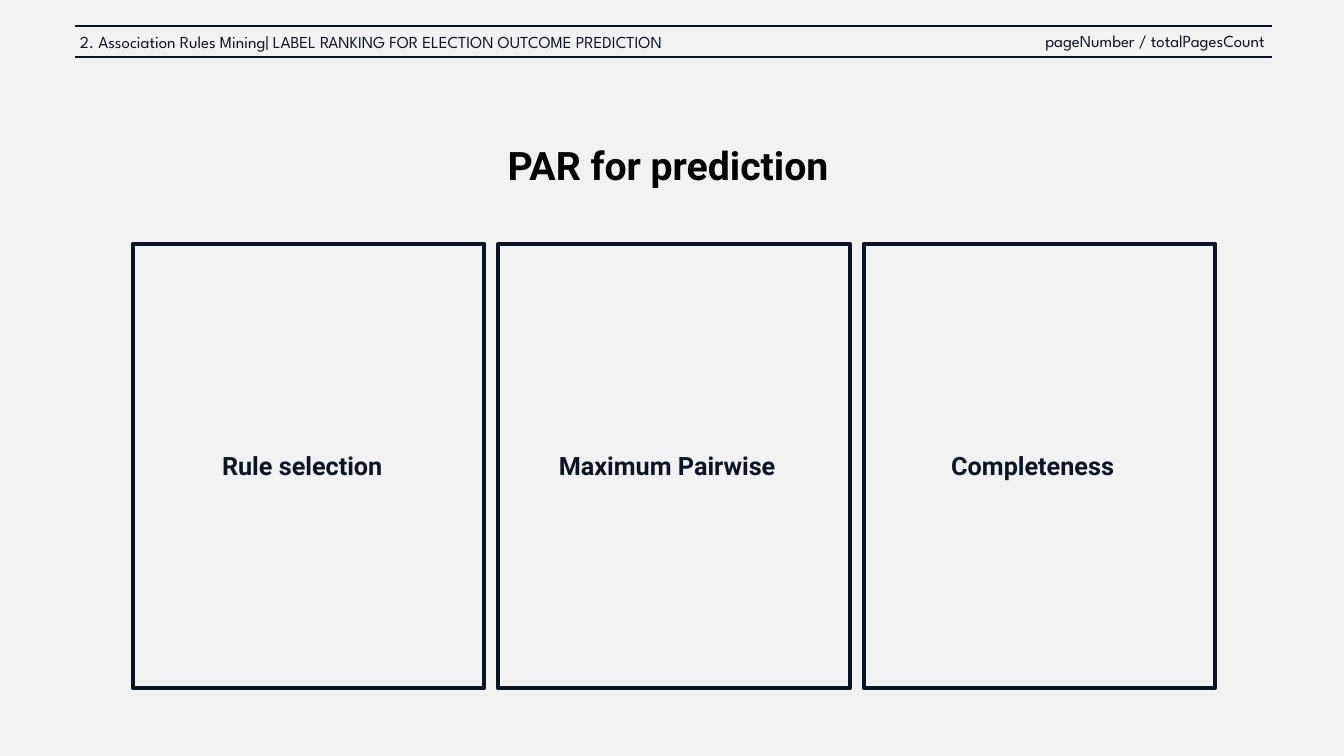
from pptx import Presentation
from pptx.dml.color import RGBColor
from pptx.enum.shapes import MSO_CONNECTOR, MSO_SHAPE
from pptx.enum.text import MSO_ANCHOR, MSO_AUTO_SIZE, PP_ALIGN
from pptx.oxml.ns import qn
from pptx.util import Emu, Pt
from lxml import etree

LEFT, CENTER, RIGHT = PP_ALIGN.LEFT, PP_ALIGN.CENTER, PP_ALIGN.RIGHT
MIDDLE, TOP = MSO_ANCHOR.MIDDLE, MSO_ANCHOR.TOP
FIT_SHAPE, FIT_NONE = MSO_AUTO_SIZE.SHAPE_TO_FIT_TEXT, MSO_AUTO_SIZE.NONE
STRAIGHT, RECTANGLE = MSO_CONNECTOR.STRAIGHT, MSO_SHAPE.RECTANGLE

COLORS = {"background": "F2F2F2", "ink": "0A1426", "title": "000000"}
FONTS = {
    "title": {"name": "Roboto", "size": Pt(28), "bold": True},
    "header": {"name": "League Spartan", "size": Pt(12), "bold": False},
    "label": {"name": "Roboto", "size": Pt(18), "bold": True},
}
CARDS = [("Rule selection", 193), ("Maximum Pairwise", 250), ("Completeness", 196)]


def px(length):
    """Turn pixels into EMU."""
    return Emu(round(length * 914400 / 100.8))


def color(name):
    """Return a named colour."""
    return RGBColor.from_string(COLORS[name])


def set_values(target, values):
    """Set each attribute in values on target."""
    for name, value in values.items():
        setattr(target, name, value)


def place(shape, left, top, width, height):
    """Put a shape in a box given in pixels."""
    set_values(shape, {"left": px(left), "top": px(top),
                       "width": px(width), "height": px(height)})


def write(shape, text, style, ink="ink", alignment=LEFT, frame_format=None):
    """Write one formatted paragraph into a shape."""
    frame = shape.text_frame
    frame.text = text
    set_values(frame, frame_format or {"word_wrap": True, "auto_size": FIT_SHAPE,
                                       "vertical_anchor": TOP})
    paragraph = frame.paragraphs[0]
    paragraph.alignment = alignment
    set_values(paragraph.font, FONTS[style])
    paragraph.font.color.rgb = color(ink)


def add_text(slide, box, text, style, **options):
    """Add a text box in a pixel box."""
    shape = slide.shapes.add_textbox(*map(px, box))
    write(shape, text, style, **options)


def add_rule(slide, left, right, y):
    """Add a horizontal rule."""
    rule = slide.shapes.add_connector(STRAIGHT, px(left), px(y), px(right), px(y))
    rule.line.color.rgb = color("ink")
    rule.line.width = Pt(1)
    etree.SubElement(rule._element.spPr, qn("a:effectLst"))


def add_title(slide, left, top, width, height):
    """Place and format the title."""
    title = slide.shapes.title
    place(title, left, top, width, height)
    write(title, "PAR for prediction", "title", ink="title", alignment=CENTER,
          frame_format={"word_wrap": True, "auto_size": FIT_NONE,
                        "vertical_anchor": MIDDLE})
    set_values(title.text_frame.paragraphs[0],
               {"line_spacing": 0.9, "space_before": Pt(0)})


def add_header(slide, left, top, width, height):
    """Add the running header between two rules."""
    add_text(slide, (left - 5, top + 1, 950, 30),
             "2. Association Rules Mining| LABEL RANKING FOR ELECTION OUTCOME PREDICTION",
             "header")
    for y in (top, top + height):
        add_rule(slide, left, left + width, y)
    add_text(slide, (left + width - 508, top, 511, 30),
             "pageNumber / totalPagesCount", "header", alignment=RIGHT)


def add_card(slide, left, top, width, height, text, label_width):
    """Add an outlined card with its label."""
    card = slide.shapes.add_shape(RECTANGLE, *map(px, (left, top, width, height)))
    card.shadow.inherit = False
    card.fill.background()
    card.line.color.rgb = color("ink")
    card.line.width = Pt(3)
    label_box = (left + (width - label_width) / 2, top + 201, label_width, 40)
    add_text(slide, label_box, text, "label",
             frame_format={"word_wrap": False, "auto_size": FIT_SHAPE,
                           "vertical_anchor": TOP})


def add_cards(slide, left, top, width, height, gap=14):
    """Share a row equally between the cards."""
    card_width = (width - gap * (len(CARDS) - 1)) / len(CARDS)
    for index, (text, label_width) in enumerate(CARDS):
        add_card(slide, left + index * (card_width + gap), top, card_width, height,
                 text, label_width)


def main():
    """Build and save the slide."""
    presentation = Presentation()
    set_values(presentation, {"slide_width": px(1344), "slide_height": px(756)})
    slide = presentation.slides.add_slide(presentation.slide_layouts[5])
    fill = slide.background.fill
    fill.solid()
    fill.fore_color.rgb = color("background")
    add_title(slide, 288, 91, 760, 153)
    add_header(slide, 75, 26, 1197, 31)
    add_cards(slide, 133, 244, 1082, 444)
    presentation.save("out.pptx")


if __name__ == "__main__":
    main()
